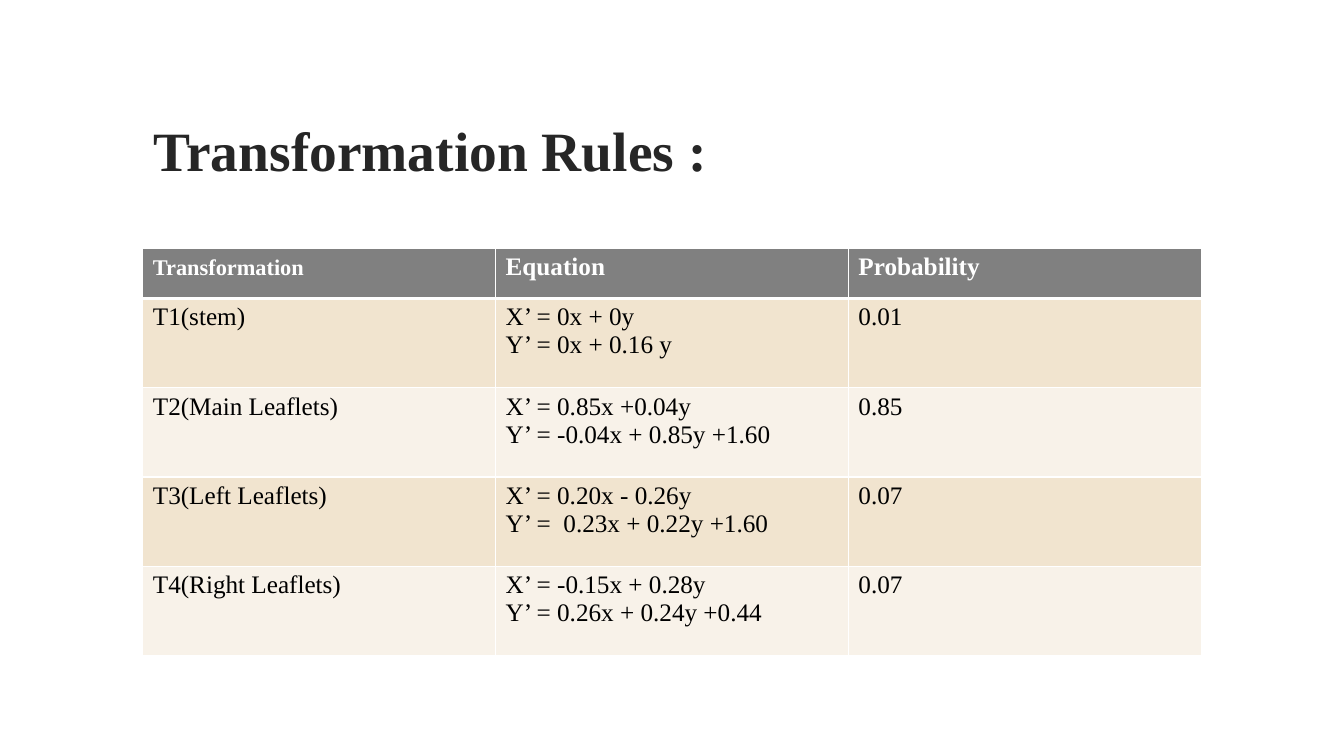
from lxml.etree import SubElement
from pptx import Presentation
from pptx.dml.color import RGBColor
from pptx.enum.shapes import MSO_CONNECTOR
from pptx.enum.text import MSO_ANCHOR, PP_ALIGN
from pptx.oxml.ns import qn
from pptx.util import Cm, Pt

COLORS = {
    "title": "262626",
    "rule_line": "E8D191",
    "header": "808080",
    "band_dark": "F1E4CF",
    "band_light": "F8F2E9",
    "white": "FFFFFF",
    "black": "000000",
}
HEADERS = [("Transformation", 16), ("Equation", 18), ("Probability", 18)]
RULES = [
    ("T1(stem)", "X’ = 0x + 0y\nY’ = 0x + 0.16 y", "0.01"),
    ("T2(Main Leaflets)", "X’ = 0.85x +0.04y\nY’ = -0.04x + 0.85y +1.60", "0.85"),
    ("T3(Left Leaflets)", "X’ = 0.20x - 0.26y\nY’ =  0.23x + 0.22y +1.60", "0.07"),
    ("T4(Right Leaflets)", "X’ = -0.15x + 0.28y\nY’ = 0.26x + 0.24y +0.44", "0.07"),
]


def write(frame, text, size=18, color="black", bold=False, align=PP_ALIGN.LEFT):
    """Fill a text frame, one paragraph for each line of text."""
    frame.text = text
    for paragraph in frame.paragraphs:
        paragraph.alignment = align
        for run in paragraph.runs:
            run.font.name = "Times New Roman"
            run.font.size = Pt(size)
            run.font.bold = bold
            run.font.color.rgb = RGBColor.from_string(COLORS[color])


def style_cell(cell, fill, top=1, bottom=1):
    """Set the fill and the white borders, with widths in points."""
    properties = cell._tc.get_or_add_tcPr()
    for side, width in (("L", 1), ("R", 1), ("T", top), ("B", bottom)):
        border = SubElement(properties, qn(f"a:ln{side}"), w=str(Pt(width)))
        border_fill = SubElement(border, qn("a:solidFill"))
        SubElement(border_fill, qn("a:srgbClr"), val=COLORS["white"])
    cell.fill.solid()
    cell.fill.fore_color.rgb = RGBColor.from_string(COLORS[fill])


presentation = Presentation()
presentation.slide_width = Cm(33.87)
presentation.slide_height = Cm(19.05)
slide = presentation.slides.add_slide(presentation.slide_layouts[6])

rule_line = slide.shapes.add_connector(
    MSO_CONNECTOR.STRAIGHT, Cm(3.89), Cm(6.73), Cm(30), Cm(6.73)
)
rule_line.line.color.rgb = RGBColor.from_string(COLORS["rule_line"])
rule_line.line.width = Pt(1.25)
SubElement(rule_line._element.spPr, qn("a:effectLst"))

title = slide.shapes.add_textbox(Cm(3.6), Cm(2.84), Cm(14.48), Cm(1.85))
title.text_frame.vertical_anchor = MSO_ANCHOR.MIDDLE
write(title.text_frame, "Transformation Rules :", size=39.6, color="title",
      bold=True, align=PP_ALIGN.CENTER)

table = slide.shapes.add_table(
    len(RULES) + 1, len(HEADERS), Cm(3.6), Cm(6.25), Cm(26.67), Cm(10.27)
).table
table.horz_banding = False
for column in table.columns:
    column.width = Cm(8.89)
for index, row in enumerate(table.rows):
    row.height = Cm(2.25 if index else 1.27)

for column, (header, size) in enumerate(HEADERS):
    cell = table.cell(0, column)
    style_cell(cell, "header", bottom=3)
    write(cell.text_frame, header, size=size, color="white", bold=True)

# A full-size trailing space keeps the smaller header on the shared baseline.
space = table.cell(0, 0).text_frame.paragraphs[0].add_run()
space.text = " "
space.font.name = "Times New Roman"
space.font.size = Pt(18)

for row, rule in enumerate(RULES, start=1):
    for column, text in enumerate(rule):
        cell = table.cell(row, column)
        style_cell(cell, "band_dark" if row % 2 else "band_light",
                   top=3 if row == 1 else 1)
        write(cell.text_frame, text)

presentation.save("out.pptx")
